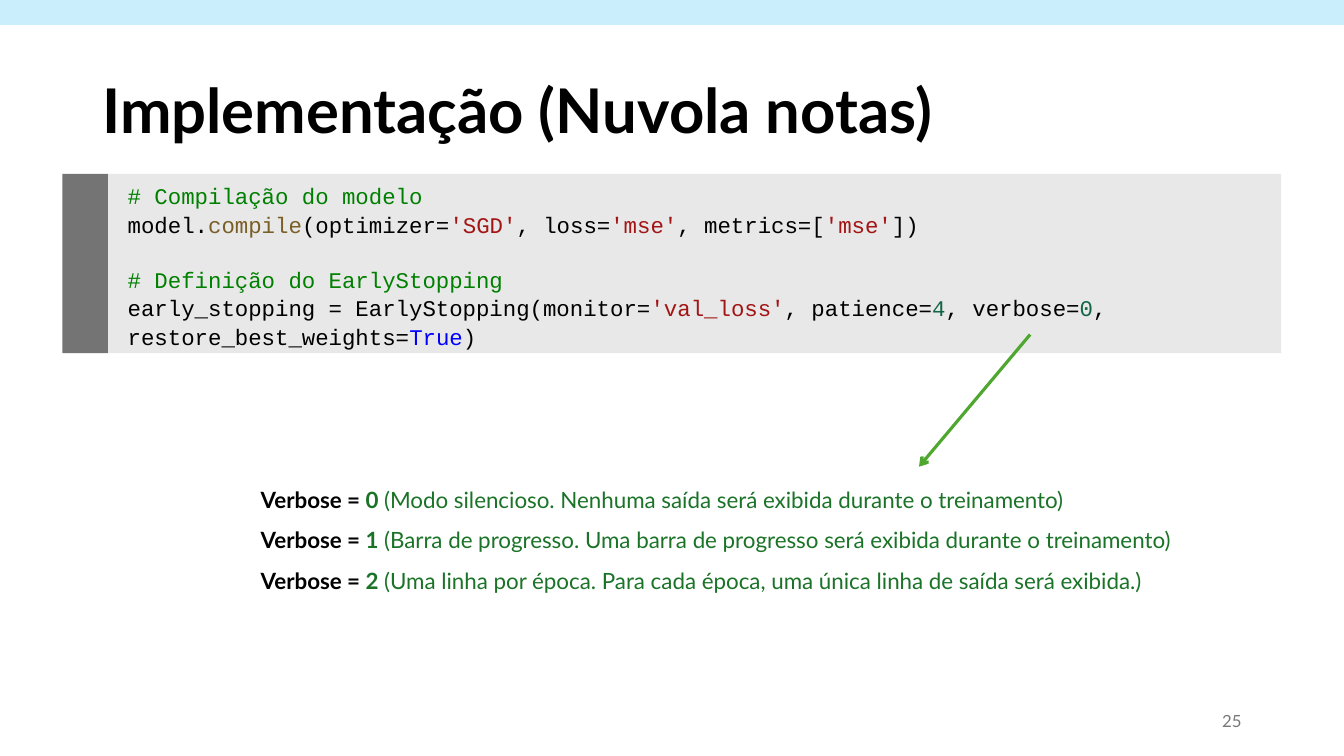
from lxml import etree
from pptx import Presentation
from pptx.dml.color import RGBColor
from pptx.enum.shapes import MSO_CONNECTOR, MSO_SHAPE
from pptx.enum.text import MSO_ANCHOR, PP_ALIGN
from pptx.oxml.ns import qn
from pptx.util import Cm, Pt

BLACK, COMMENT, METHOD = "000000", "008000", "795E26"
STRING, NUMBER, KEYWORD, GREEN = "A31515", "116644", "0000FF", "1B7328"

deck = Presentation()
deck.slide_width, deck.slide_height = Cm(33.87), Cm(19.05)
slide = deck.slides.add_slide(deck.slide_layouts[6])


def add_bar(left, top, width, height, color):
    bar = slide.shapes.add_shape(
        MSO_SHAPE.RECTANGLE, Cm(left), Cm(top), Cm(width), Cm(height))
    bar.shadow.inherit = False
    bar.fill.solid()
    bar.fill.fore_color.rgb = RGBColor.from_string(color)
    bar.line.fill.background()


def add_text(left, top, width, height, lines, font, size,
             align=PP_ALIGN.LEFT, anchor=MSO_ANCHOR.TOP, spacing=1.0):
    """Each line is a list of (text, color, bold) runs; returns the paragraphs."""
    frame = slide.shapes.add_textbox(
        Cm(left), Cm(top), Cm(width), Cm(height)).text_frame
    frame.word_wrap = True
    frame.vertical_anchor = anchor
    for number, line in enumerate(lines):
        paragraph = frame.add_paragraph() if number else frame.paragraphs[0]
        paragraph.alignment = align
        paragraph.line_spacing = spacing
        for text, color, bold in line:
            run = paragraph.add_run()
            run.text = text
            run.font.name = font
            run.font.size = Pt(size)
            run.font.bold = bold
            run.font.color.rgb = RGBColor.from_string(color)
    return frame.paragraphs


# Title, top band and page number
add_text(2.33, 1.01, 29.21, 3.68, [[("Implementação (Nuvola notas)", BLACK, True)]],
         "Lato", 44, anchor=MSO_ANCHOR.MIDDLE, spacing=0.9)
add_bar(0, 0, 33.87, 0.63, "CAEEFB")
add_text(23.92, 17.66, 7.62, 1.01, [[("25", "797979", False)]],
         "Lato", 12, PP_ALIGN.RIGHT, MSO_ANCHOR.MIDDLE)

# Code block
code = [
    [("# Compilação do modelo", COMMENT)],
    [("model.", BLACK), ("compile", METHOD), ("(optimizer=", BLACK),
     ("'SGD'", STRING), (", loss=", BLACK), ("'mse'", STRING),
     (", metrics=[", BLACK), ("'mse'", STRING), ("])", BLACK)],
    [("# Definição do EarlyStopping", COMMENT)],
    [("early_stopping = EarlyStopping(monitor=", BLACK), ("'val_loss'", STRING),
     (", patience=", BLACK), ("4", NUMBER), (", verbose=", BLACK),
     ("0", NUMBER), (",", BLACK)],
    [("restore_best_weights=", BLACK), ("True", KEYWORD), (")", BLACK)],
]
add_bar(2.72, 4.38, 29.57, 4.52, "E8E8E8")
code_lines = add_text(
    2.97, 4.43, 29.72, 4.52,
    [[(text, color, False) for text, color in line] for line in code],
    "Courier New", 16, spacing=1.06)
code_lines[2].space_before = Pt(19)
add_bar(1.57, 4.38, 1.15, 4.52, "747474")

# Arrow from the verbose argument to its explanation
arrow = slide.shapes.add_connector(
    MSO_CONNECTOR.STRAIGHT, Cm(25.96), Cm(8.43), Cm(23.16), Cm(11.76))
arrow.line.color.rgb = RGBColor.from_string("4EA72E")
arrow.line.width = Pt(2.25)
arrow_line = arrow.line._get_or_add_ln()
etree.SubElement(arrow_line, qn("a:tailEnd"), type="arrow")
etree.SubElement(arrow_line.getparent(), qn("a:effectLst"))

# Verbose modes
modes = [
    "(Modo silencioso. Nenhuma saída será exibida durante o treinamento)",
    "(Barra de progresso. Uma barra de progresso será exibida durante o treinamento)",
    "(Uma linha por época. Para cada época, uma única linha de saída será exibida.)",
]
add_text(6.32, 11.79, 25.96, 3.23,
         [[("Verbose = ", BLACK, True), (f"{value} ", GREEN, True),
           (meaning, GREEN, False)] for value, meaning in enumerate(modes)],
         "Lato", 16, PP_ALIGN.JUSTIFY, spacing=1.5)

deck.save("out.pptx")
